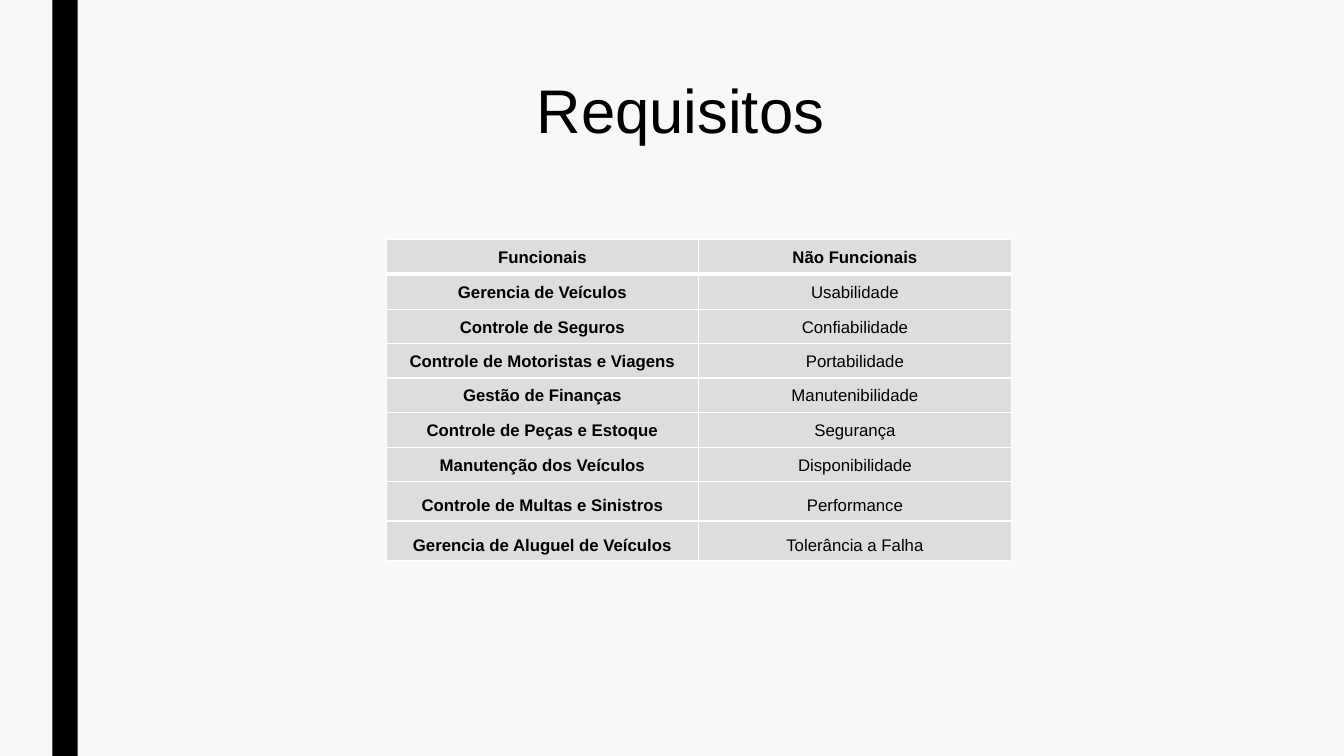
import dataclasses
import lxml.etree
import pptx
import pptx.dml.color
import pptx.enum.shapes
import pptx.enum.text
import pptx.oxml.ns
import pptx.util

Inches = pptx.util.Inches
Pt = pptx.util.Pt
RGBColor = pptx.dml.color.RGBColor
ALIGN = pptx.enum.text.PP_ALIGN
ANCHOR = pptx.enum.text.MSO_ANCHOR


@dataclasses.dataclass(frozen=True)
class Theme:
    background: str = "F8F8F8"
    ink: str = "000000"
    cell: str = "DDDDDD"
    border: str = "FFFFFF"
    font: str = "Arial"
    title_size: int = 44
    table_size: int = 12


theme = Theme()


def format_paragraph(para, size, bold, spacing):
    para.alignment = ALIGN.CENTER
    para.line_spacing = spacing
    for span in para.runs:
        span.font.name = theme.font
        span.font.size = Pt(size)
        span.font.bold = bold
        span.font.color.rgb = RGBColor.from_string(theme.ink)


def add_border(cell, side, width):
    qn = pptx.oxml.ns.qn
    properties = cell._tc.get_or_add_tcPr()
    line = lxml.etree.SubElement(properties, qn(f"a:ln{side}"), w=str(Pt(width)))
    fill = lxml.etree.SubElement(line, qn("a:solidFill"))
    lxml.etree.SubElement(fill, qn("a:srgbClr"), val=theme.border)


deck = pptx.Presentation()
deck.slide_width = Inches(13.33)
deck.slide_height = Inches(7.5)
page = deck.slides.add_slide(deck.slide_layouts[5])
page.background.fill.solid()
page.background.fill.fore_color.rgb = RGBColor.from_string(theme.background)

bar = page.shapes.add_shape(
    pptx.enum.shapes.MSO_SHAPE.RECTANGLE, Inches(0.52), 0, Inches(0.25), Inches(7.5)
)
bar.shadow.inherit = False
bar.fill.solid()
bar.fill.fore_color.rgb = RGBColor.from_string(theme.ink)
bar.line.fill.background()

title = page.shapes.title
title.left, title.top = Inches(1.5), Inches(0.75)
title.width, title.height = Inches(10.5), Inches(1.62)
title.text_frame.text = "Requisitos"
title.text_frame.vertical_anchor = ANCHOR.TOP
format_paragraph(title.text_frame.paragraphs[0], theme.title_size, False, 0.89)

requirements = [
    ("Funcionais", "Não Funcionais"),
    ("Gerencia de Veículos", "Usabilidade"),
    ("Controle de Seguros", "Confiabilidade"),
    ("Controle de Motoristas e Viagens", "Portabilidade"),
    ("Gestão de Finanças", "Manutenibilidade"),
    ("Controle de Peças e Estoque", "Segurança"),
    ("Manutenção dos Veículos", "Disponibilidade"),
    ("Controle de Multas e Sinistros", "Performance"),
    ("Gerencia de Aluguel de Veículos", "Tolerância a Falha"),
]
row_heights = [0.34, 0.35, 0.34, 0.34, 0.34, 0.35, 0.34, 0.39, 0.39]
first_tall_row = 7

table = page.shapes.add_table(
    len(requirements), 2, Inches(3.83), Inches(2.38), Inches(6.2), Inches(sum(row_heights))
).table
for row, (labels, height) in enumerate(zip(requirements, row_heights)):
    table.rows[row].height = Inches(height)
    for column, label in enumerate(labels):
        cell = table.cell(row, column)
        cell.text_frame.text = label
        cell.vertical_anchor = ANCHOR.MIDDLE
        cell.margin_left = cell.margin_right = Inches(0.07)
        cell.margin_top = cell.margin_bottom = 0
        format_paragraph(
            cell.text_frame.paragraphs[0],
            theme.table_size,
            row == 0 or column == 0,
            1.5 if row >= first_tall_row else 1.07,
        )
        widths = {"L": 1, "R": 1, "T": 3 if row == 1 else 1, "B": 3 if row == 0 else 1}
        for side, width in widths.items():
            add_border(cell, side, width)
        cell.fill.solid()
        cell.fill.fore_color.rgb = RGBColor.from_string(theme.cell)

deck.save("out.pptx")
